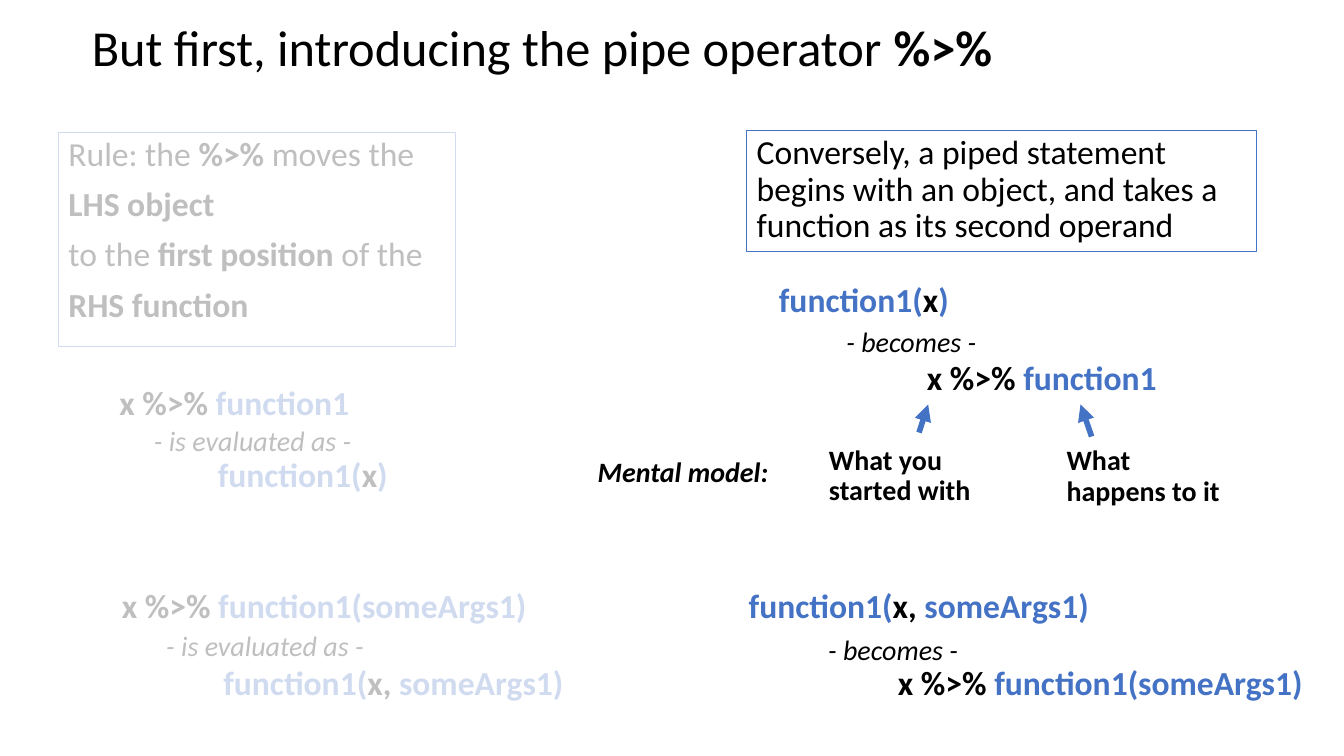
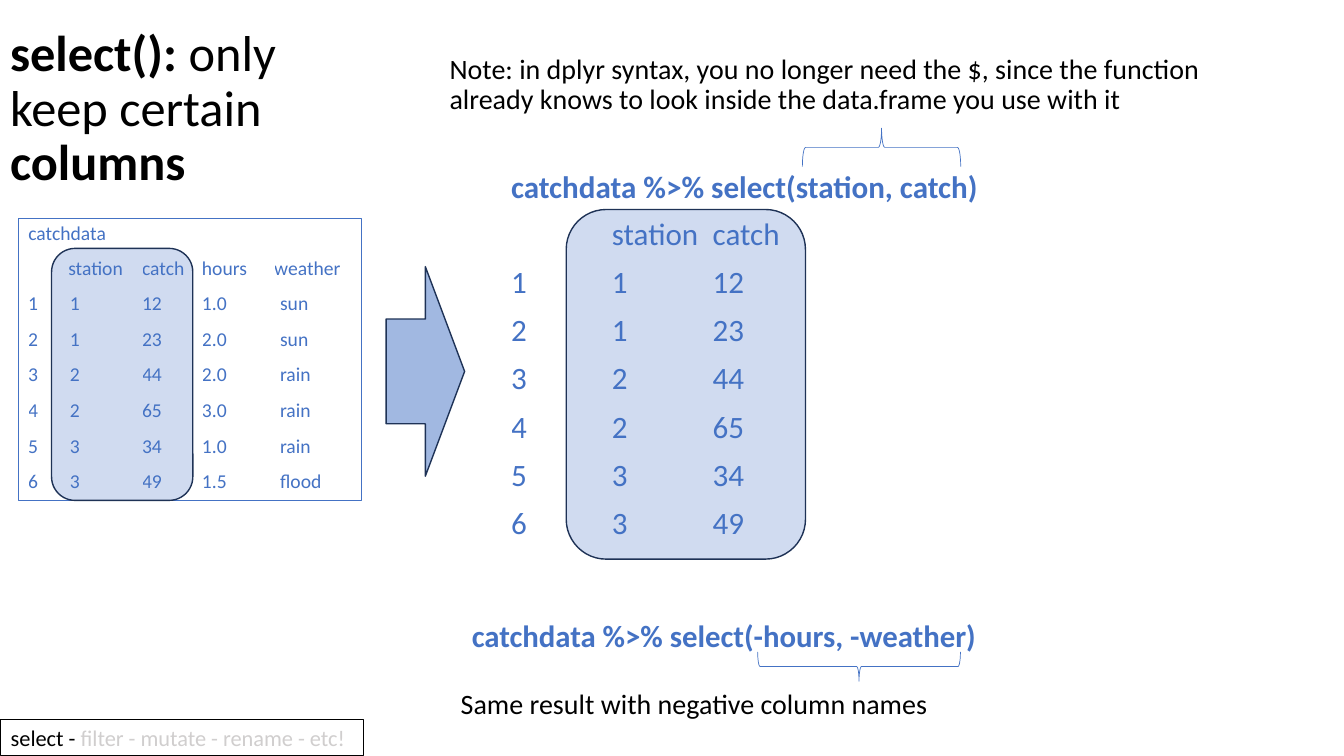
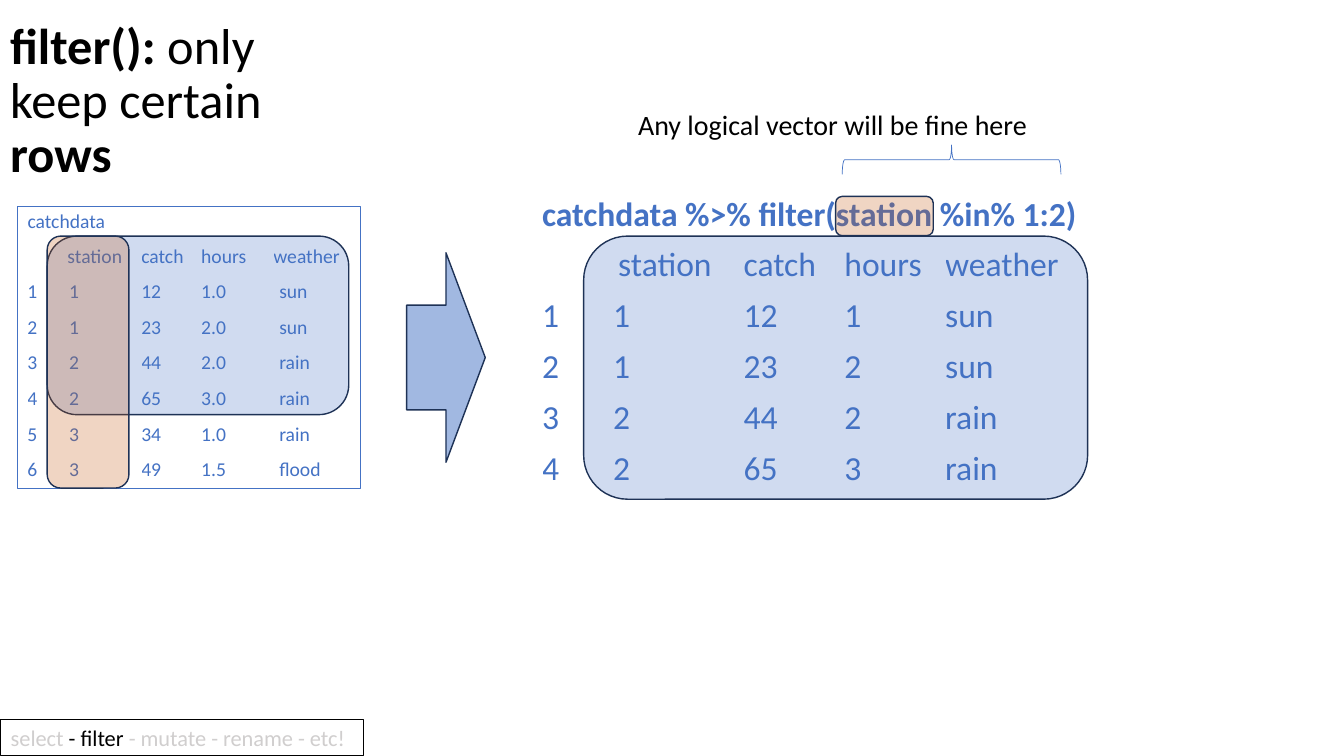
"""Build three slides on the pipe operator and the select and filter verbs."""
from dataclasses import dataclass
from itertools import pairwise
from typing import NamedTuple

from lxml import etree
from pptx import Presentation
from pptx import util as u
from pptx.dml import color
from pptx.enum import shapes, text
from pptx.oxml import ns

FONT = "Calibri"
BLACK, WHITE, BLUE = "000000", "FFFFFF", "4472C4"
NAVY, ORANGE, GREY = "1E3256", "C55A11", "D0CECE"
INSET = 0.25


class Box(NamedTuple):
    left: float
    top: float
    width: float
    height: float


class Run(NamedTuple):
    text: str
    color: str = BLACK
    bold: bool = False
    italic: bool = False


@dataclass
class Block:
    box: Box
    lines: list[list[Run]]
    size: float = 20
    spacing: float = 0.9
    before: float = 10
    outline: str = ""


@dataclass
class Grid:
    rows: list[tuple[str, ...]]
    head_starts: tuple[float, ...]
    row_starts: tuple[float, ...]


@dataclass
class Marker:
    kind: shapes.MSO_SHAPE
    box: Box
    fill: str = ""
    opacity: int = 100
    line: str = ""
    weight: float = 1
    rotation: int = 0


class Catch(NamedTuple):
    station: int
    catch: int
    hours: float
    weather: str


CATCHES = [
    Catch(1, 12, 1.0, "sun"),
    Catch(1, 23, 2.0, "sun"),
    Catch(2, 44, 2.0, "rain"),
    Catch(2, 65, 3.0, "rain"),
    Catch(3, 34, 1.0, "rain"),
    Catch(3, 49, 1.5, "flood"),
]


def rgb(value: str) -> color.RGBColor:
    return color.RGBColor.from_string(value)


def add_run(paragraph, part: Run, size: float) -> None:
    run = paragraph.add_run()
    run.text = part.text
    run.font.name = FONT
    run.font.size = u.Pt(size)
    run.font.bold = part.bold
    run.font.italic = part.italic
    run.font.color.rgb = rgb(part.color)


def write(shape, block: Block) -> None:
    shape.left, shape.top, shape.width, shape.height = map(u.Cm, block.box)
    frame = shape.text_frame
    frame.word_wrap = True
    frame.auto_size = text.MSO_AUTO_SIZE.NONE
    if block.outline:
        shape.line.color.rgb = rgb(block.outline)
        shape.line.width = u.Pt(0.75)
    for index, runs in enumerate(block.lines):
        paragraph = frame.add_paragraph() if index else frame.paragraphs[0]
        paragraph.alignment = text.PP_ALIGN.LEFT
        paragraph.line_spacing = block.spacing
        paragraph.space_before = u.Pt(block.before)
        properties = paragraph._p.get_or_add_pPr()
        properties.set("marL", "0")
        properties.set("indent", "0")
        etree.SubElement(properties, ns.qn("a:buNone"))
        for part in runs:
            add_run(paragraph, part, block.size)


def add_text(slide, block: Block):
    shape = slide.shapes.add_textbox(0, 0, 0, 0)
    write(shape, block)
    return shape


def add_note(slide, box: Box, words: str) -> None:
    add_text(slide, Block(box, [[Run(words)]]))


def add_grid(slide, caption: Block, grid: Grid) -> None:
    box, size = caption.box, caption.size
    names = ("", *Catch._fields[:len(grid.rows[0])])
    records = [names] + [(str(number), *row) for number, row in enumerate(grid.rows, 1)]
    edges = [min(pair) for pair in zip(grid.head_starts, grid.row_starts)]
    right = box.width - 2 * INSET
    table = slide.shapes.add_table(
        len(records), len(edges),
        u.Cm(box.left + INSET), u.Cm(box.top) + u.Pt(1.04 * size + 8.6),
        u.Cm(right), u.Pt(1.1 * size + 10) * len(records)).table
    table.first_row = table.horz_banding = False
    for column, (start, end) in zip(table.columns, pairwise(edges + [right])):
        column.width = u.Cm(end - start)
    for row_index, record in enumerate(records):
        starts = grid.row_starts if row_index else grid.head_starts
        for column_index, value in enumerate(record):
            cell = table.cell(row_index, column_index)
            cell.fill.background()
            cell.vertical_anchor = text.MSO_ANCHOR.MIDDLE
            cell.margin_top = cell.margin_bottom = cell.margin_right = 0
            cell.margin_left = u.Cm(starts[column_index] - edges[column_index])
            if value:
                add_run(cell.text_frame.paragraphs[0], Run(value, BLUE), size)


def add_marker(slide, marker: Marker) -> None:
    shape = slide.shapes.add_shape(marker.kind, *map(u.Cm, marker.box))
    shape.shadow.inherit = False
    shape.rotation = marker.rotation
    if marker.fill:
        shape.fill.solid()
        shape.fill.fore_color.rgb = rgb(marker.fill)
        solid = shape.element.spPr.find(ns.qn("a:solidFill"))
        etree.SubElement(solid[0], ns.qn("a:alpha"), val=str(marker.opacity * 1000))
    else:
        shape.fill.background()
    if marker.line:
        shape.line.color.rgb = rgb(marker.line)
        shape.line.width = u.Pt(marker.weight)
    else:
        shape.line.fill.background()


def add_brace(slide, box: Box, rotation: int) -> None:
    add_marker(slide, Marker(shapes.MSO_SHAPE.LEFT_BRACE, box, line=BLUE, weight=0.5, rotation=rotation))


def add_highlight(slide, box: Box, fill: str = BLUE) -> None:
    add_marker(slide, Marker(shapes.MSO_SHAPE.ROUNDED_RECTANGLE, box, fill, 25, NAVY))


def add_result_arrow(slide, left: float, top: float) -> None:
    box = Box(left, top, 1.98, 5.28)
    add_marker(slide, Marker(shapes.MSO_SHAPE.RIGHT_ARROW, box, BLUE, 50, NAVY))


def add_pointer(slide, start: tuple[float, float], end: tuple[float, float]) -> None:
    connector = slide.shapes.add_connector(shapes.MSO_CONNECTOR.STRAIGHT, *map(u.Cm, start + end))
    connector.line.color.rgb = rgb(BLUE)
    connector.line.width = u.Pt(4)
    properties = connector.element.spPr
    etree.SubElement(properties.find(ns.qn("a:ln")), ns.qn("a:tailEnd"), type="triangle")
    etree.SubElement(properties, ns.qn("a:effectLst"))


def add_slide(presentation, title_box: Box, title: list[Run], body: Block):
    slide = presentation.slides.add_slide(presentation.slide_layouts[1])
    write(slide.shapes.title, Block(title_box, [title], size=36, before=0))
    slide.shapes.title.text_frame.vertical_anchor = text.MSO_ANCHOR.MIDDLE
    write(slide.placeholders[1], body)
    return slide


def add_verb_slide(presentation, title_box: Box, verb: str, kept: str, left: float, top: float):
    caption = Block(Box(left, top, 8.64, 7.11), [[Run("catchdata", BLUE)]], 14, outline=BLUE)
    title = [Run(f"{verb}(): ", bold=True), Run("only keep certain "), Run(kept, bold=True)]
    slide = add_slide(presentation, title_box, title, caption)
    rows = [(str(c.station), str(c.catch), f"{c.hours:.1f}", c.weather) for c in CATCHES]
    add_grid(slide, caption, Grid(rows, (0, 1.01, 2.87, 4.38, 6.2), (0, 1.05, 2.87, 4.38, 6.35)))
    return slide


def add_result(slide, box: Box, code: str, size: float, grid: Grid) -> None:
    caption = Block(box, [[Run(code, BLUE, True)]], size)
    add_text(slide, caption)
    add_grid(slide, caption, grid)


def add_progress(slide, runs: list[Run]) -> None:
    block = Block(Box(0.02, 18.12, 9.15, 0.93), [runs], 16, 1, 0, BLACK)
    add_text(slide, block).text_frame.word_wrap = False


def pipe_slide(presentation) -> None:
    pipe = [Run("x %>% ", bold=True), Run("function1", BLUE, True)]
    call = [Run("function1(", BLUE, True), Run("x", bold=True), Run(")", BLUE, True)]
    pipe_args = [Run("x %>%", bold=True), Run(" function1(someArgs1)", BLUE, True)]
    call_args = [Run("function1(", BLUE, True), Run("x, ", bold=True), Run("someArgs1)", BLUE, True)]
    rule = [
        [Run("Rule: the "), Run("%>%", bold=True), Run(" moves the")],
        [Run("LHS object", bold=True)],
        [Run("to the "), Run("first position ", bold=True), Run("of the")],
        [Run("RHS function", bold=True)],
    ]
    slide = add_slide(
        presentation, Box(2.06, 0, 29.21, 2.54),
        [Run("But first, introducing the pipe operator "), Run("%>%", bold=True)],
        Block(Box(1.47, 3.33, 10.01, 5.41), rule, 24, outline=BLUE))
    converse = "Conversely, a piped statement begins with an object, and takes a function as its second operand"
    add_text(slide, Block(Box(18.82, 3.3, 12.85, 3.05), [[Run(converse)]], 24, outline=BLUE))
    for left, top, width, code in (
        (2.76, 9.61, 6.63, pipe), (5.24, 11.43, 6.63, call),
        (2.82, 14.73, 13, pipe_args), (5.38, 16.67, 9.25, call_args),
        (19.38, 7.01, 6.63, call), (23.11, 8.98, 6.63, pipe),
        (18.62, 14.73, 9.25, call_args), (22.38, 16.66, 10.92, pipe_args),
    ):
        add_text(slide, Block(Box(left, top, width, 1.4), [code], 24))
    for left, top, phrase in (
        (3.63, 10.64, "- is evaluated as -"), (3.94, 15.8, "- is evaluated as -"),
        (21.08, 8.15, "- becomes -"), (20.62, 15.9, "- becomes -"),
    ):
        add_text(slide, Block(Box(left, top, 6.63, 1.04), [[Run(phrase, italic=True)]]))
    add_marker(slide, Marker(shapes.MSO_SHAPE.RECTANGLE, Box(0, 2.18, 16.61, 16.87), WHITE, 75))
    for left, top, width, label in (
        (20.64, 11.12, 4.37, "What you started with"), (26.63, 11.13, 4.7, "What happens to it"),
    ):
        add_text(slide, Block(Box(left, top, width, 1.8), [[Run(label, bold=True)]]))
    add_pointer(slide, (23.16, 10.9), (23.39, 10.19))
    add_pointer(slide, (27.51, 11), (27.23, 10.19))
    add_text(slide, Block(Box(14.81, 11.48, 5.08, 0.99),
                          [[Run("Mental model:", bold=True, italic=True)]], spacing=0.8))


def select_slide(presentation) -> None:
    slide = add_verb_slide(presentation, Box(0, 0.04, 8.64, 5.46), "select", "columns", 0.46, 5.5)
    add_note(slide, Box(11.08, 1.27, 19.48, 1.9),
             "Note: in dplyr syntax, you no longer need the $, since the function "
             "already knows to look inside the data.frame you use with it")
    rows = [(str(c.station), str(c.catch)) for c in CATCHES]
    starts = (0, 2.54, 5.08)
    add_result(slide, Box(12.63, 4.19, 12.5, 9.78), "catchdata %>% select(station, catch)",
               22.2, Grid(rows, starts, starts))
    add_brace(slide, Box(21.73, 1.72, 0.97, 3.99), 90)
    add_text(slide, Block(Box(11.64, 15.52, 13.26, 2.51),
                          [[Run("catchdata %>% select(-hours, -weather)", BLUE, True)]], 22))
    add_brace(slide, Box(21.28, 14.24, 0.74, 5.11), 270)
    add_note(slide, Box(11.36, 17.28, 16.92, 1.32), "Same result with negative column names")
    add_result_arrow(slide, 9.73, 6.72)
    add_highlight(slide, Box(1.3, 6.26, 3.56, 6.35))
    add_highlight(slide, Box(14.27, 5.28, 6.03, 8.81))
    add_progress(slide, [Run("select - "), Run("filter - mutate - rename - etc!", GREY)])


def filter_slide(presentation) -> None:
    slide = add_verb_slide(presentation, Box(0, -0.04, 8.31, 5.23), "filter", "rows", 0.44, 5.2)
    add_note(slide, Box(15.83, 2.67, 10.92, 1.07), "Any logical vector will be fine here")
    rows = [(str(c.station), str(c.catch), f"{c.hours:g}", c.weather)
            for c in CATCHES if c.station in (1, 2)]
    add_result(slide, Box(13.41, 4.86, 14.58, 9.78), "catchdata %>% filter(station %in% 1:2)", 24,
               Grid(rows, (0, 1.92, 5.08, 7.62, 10.16), (0, 1.79, 5.08, 7.62, 10.16)))
    add_brace(slide, Box(23.61, 1.27, 0.74, 5.51), 90)
    add_result_arrow(slide, 10.25, 6.37)
    add_highlight(slide, Box(1.19, 5.95, 7.6, 4.5))
    add_highlight(slide, Box(14.71, 5.95, 12.7, 6.63))
    add_highlight(slide, Box(1.19, 5.95, 2.06, 6.35), ORANGE)
    add_highlight(slide, Box(21.06, 4.95, 2.46, 0.99), ORANGE)
    add_progress(slide, [Run("select", GREY), Run(" - filter"), Run(" - mutate - rename - etc!", GREY)])


def main() -> None:
    presentation = Presentation()
    presentation.slide_width = u.Cm(33.87)
    presentation.slide_height = u.Cm(19.05)
    pipe_slide(presentation)
    select_slide(presentation)
    filter_slide(presentation)
    presentation.save("out.pptx")


if __name__ == "__main__":
    main()
